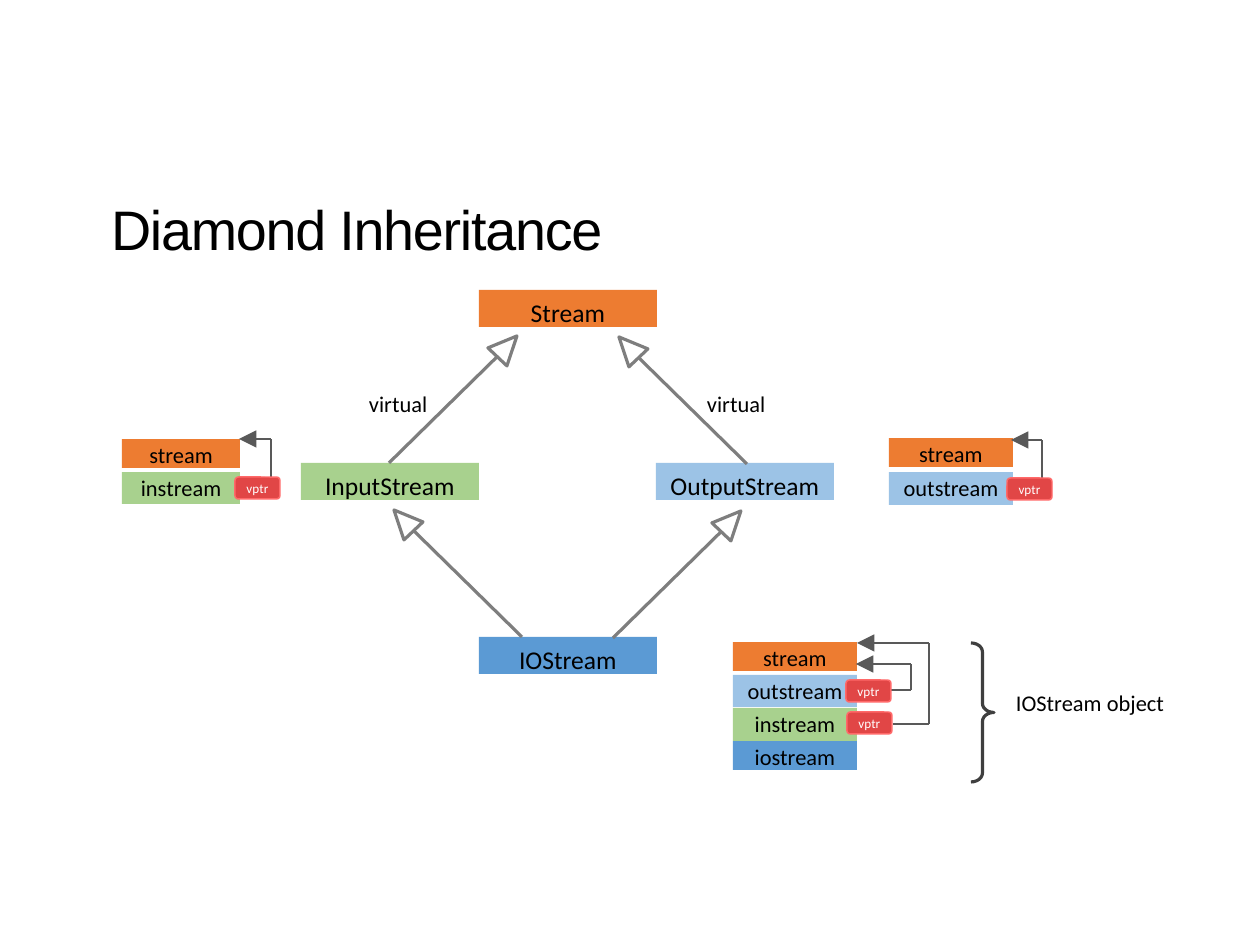
from dataclasses import dataclass

from lxml import etree
from pptx import Presentation
from pptx import util as u
from pptx.dml import color
from pptx.enum import shapes, text
from pptx.oxml import ns

PX = 914400 / 126
SHAPE = shapes.MSO_SHAPE


@dataclass(frozen=True)
class Theme:
    title_font: str = "Arial"
    body_font: str = "Calibri"
    title_size: float = 31.8
    class_size: float = 14.6
    label_size: float = 12.8
    tag_size: float = 7.5
    ink: str = "000000"
    paper: str = "FFFFFF"
    orange: str = "ED7C31"
    blue: str = "5B9AD4"
    sky: str = "9CC3E6"
    green: str = "A8D18E"
    red: str = "E14646"
    pink: str = "FF6969"
    gray: str = "7E7E7E"
    slate: str = "595959"
    coal: str = "3F3F3F"


def px(*lengths):
    return [u.Emu(round(length * PX)) for length in lengths]


def rgb(code):
    return color.RGBColor.from_string(code)


class Diagram:
    """Draws class-diagram elements on one slide in one theme."""

    def __init__(self, slide, theme):
        self.slide = slide
        self.theme = theme

    def set_text(self, box, words, size, ink, inset=0, centred=True, font=None):
        frame = box.text_frame
        frame.word_wrap = centred
        frame.auto_size = text.MSO_AUTO_SIZE.NONE
        frame.vertical_anchor = text.MSO_ANCHOR.TOP
        frame.margin_left = frame.margin_right = frame.margin_bottom = 0
        frame.margin_top = px(inset)[0]
        para = frame.paragraphs[0]
        para.text = words
        para.alignment = text.PP_ALIGN.CENTER if centred else text.PP_ALIGN.LEFT
        para.font.name = font or self.theme.body_font
        para.font.size = u.Pt(size)
        para.font.color.rgb = rgb(ink)
        return para

    def paint(self, shape, fill=None, line=None, width=1.8):
        shape.shadow.inherit = False
        if fill:
            shape.fill.solid()
            shape.fill.fore_color.rgb = rgb(fill)
        else:
            shape.fill.background()
        if line:
            shape.line.color.rgb = rgb(line)
            shape.line.width = u.Pt(width)
        else:
            shape.line.fill.background()

    def title(self, words, *place):
        box = self.slide.shapes.title
        box.left, box.top, box.width, box.height = px(*place)
        para = self.set_text(box, words, self.theme.title_size, self.theme.ink,
                             6, False, self.theme.title_font)
        para.runs[0].font._element.set("spc", "-70")

    def block(self, words, fill, place, size, inset):
        box = self.slide.shapes.add_shape(SHAPE.RECTANGLE, *px(*place))
        self.paint(box, fill)
        self.set_text(box, words, size, self.theme.ink, inset)

    def class_box(self, words, fill, left, top):
        self.block(words, fill, (left, top, 178, 37), self.theme.class_size, 7)

    def stack(self, left, width, rows):
        for words, fill, top, height in rows:
            self.block(words, fill, (left, top, width, height),
                       self.theme.label_size, 2)

    def label(self, words, *place):
        box = self.slide.shapes.add_textbox(*px(*place))
        self.set_text(box, words, self.theme.label_size, self.theme.ink, 3, False)

    def inherits(self, tip_x, tip_y, side):
        def spot(across, down):
            return tip_x + side * across, tip_y + down

        outline = self.slide.shapes.build_freeform(tip_x, tip_y, scale=PX)
        outline.add_line_segments([spot(29, 12), spot(10, 30)], close=True)
        outline.move_to(*spot(20, 21))
        outline.add_line_segments([spot(128, 127)], close=False)
        self.paint(outline.convert_to_shape(), line=self.theme.gray)

    def pointer(self, *points):
        for start, end in zip(points, points[1:]):
            leg = self.slide.shapes.add_connector(
                shapes.MSO_CONNECTOR.STRAIGHT, *px(*start, *end))
            leg.line.color.rgb = rgb(self.theme.slate)
            leg.line.width = u.Pt(1.2)
            etree.SubElement(leg._element.spPr, ns.qn("a:effectLst"))
        etree.SubElement(leg.get_or_add_ln(), ns.qn("a:tailEnd"),
                         type="triangle", w="lg", len="lg")

    def tag(self, left, top):
        box = self.slide.shapes.add_shape(SHAPE.ROUNDED_RECTANGLE,
                                          *px(left, top, 45, 22))
        box.adjustments[0] = 0.16
        self.paint(box, self.theme.red, self.theme.pink, 0.84)
        self.set_text(box, "vptr", self.theme.tag_size, self.theme.paper, 2)

    def brace(self, *place):
        shape = self.slide.shapes.add_shape(SHAPE.RIGHT_BRACE, *px(*place))
        shape.adjustments[0] = 0.39
        self.paint(shape, line=self.theme.coal)


def main():
    deck = Presentation()
    deck.slide_width, deck.slide_height = px(1260, 945)
    theme = Theme()
    page = Diagram(deck.slides.add_slide(deck.slide_layouts[5]), theme)

    page.title("Diamond Inheritance", 111, 189, 697, 69)
    for words, fill, left, top in (
            ("Stream", theme.orange, 479, 290),
            ("InputStream", theme.green, 301, 463),
            ("OutputStream", theme.sky, 656, 463),
            ("IOStream", theme.blue, 479, 637)):
        page.class_box(words, fill, left, top)
    for tip_x, tip_y, side in ((517, 336, -1), (619, 337, 1),
                               (394, 510, 1), (741, 511, -1)):
        page.inherits(tip_x, tip_y, side)
    for left in (369, 707):
        page.label("virtual", left, 387, 63, 29)

    page.stack(122, 118, [("stream", theme.orange, 439, 29),
                          ("instream", theme.green, 472, 32)])
    page.stack(889, 124, [("stream", theme.orange, 438, 29),
                          ("outstream", theme.sky, 472, 33)])
    page.stack(733, 124, [("stream", theme.orange, 642, 29),
                          ("outstream", theme.sky, 675, 32),
                          ("instream", theme.green, 708, 33),
                          ("iostream", theme.blue, 741, 29)])

    page.pointer((271, 478), (271, 439), (239, 439))
    page.pointer((1042, 478), (1042, 440), (1011, 440))
    page.pointer((891, 690), (911, 690), (911, 664), (856, 664))
    page.pointer((893, 724), (929, 724), (929, 643), (857, 643))
    for left, top in ((235, 477), (1007, 478), (846, 680), (847, 712)):
        page.tag(left, top)

    page.brace(971, 643, 23, 139)
    page.label("IOStream object", 1016, 686, 154, 29)
    deck.save("out.pptx")


if __name__ == "__main__":
    main()
